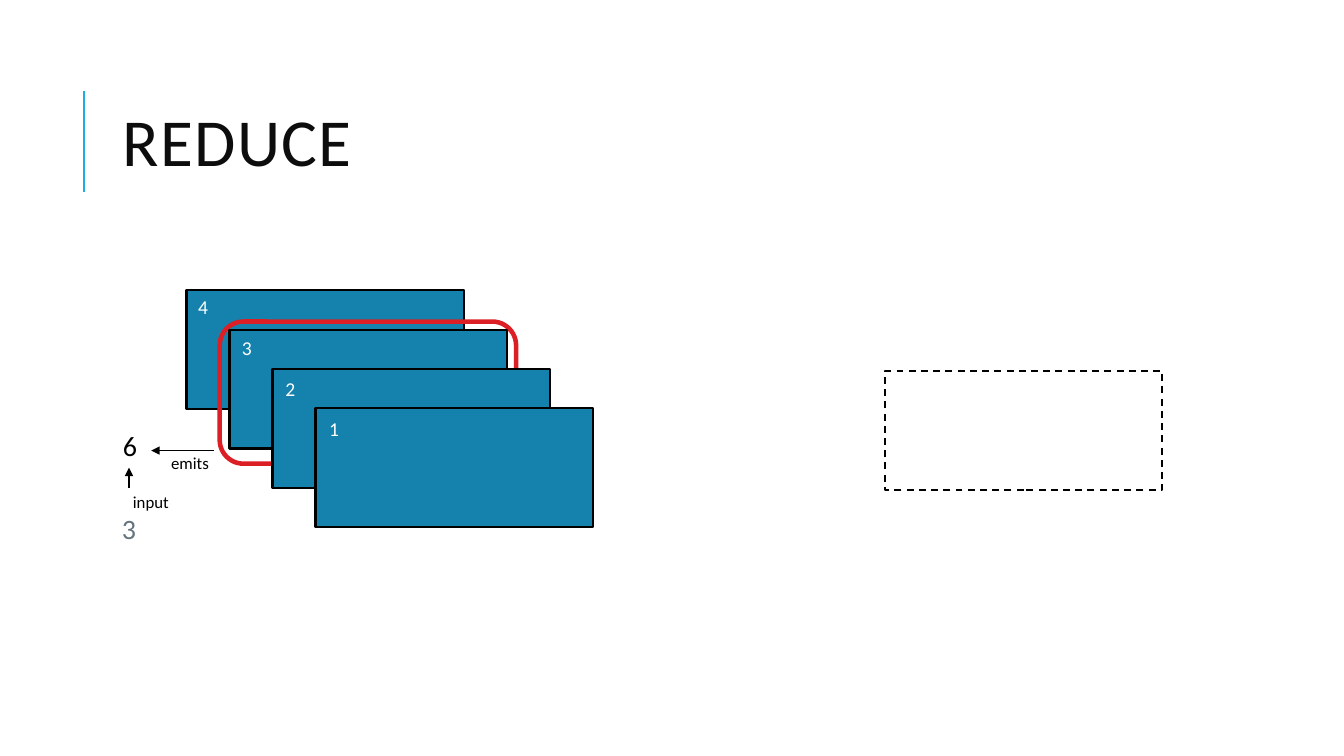
from pptx import Presentation
from pptx.dml.color import RGBColor
from pptx.enum.dml import MSO_LINE
from pptx.enum.shapes import MSO_CONNECTOR, MSO_SHAPE
from pptx.enum.text import MSO_ANCHOR, PP_ALIGN
from pptx.oxml.ns import qn
from pptx.util import Inches, Pt
from lxml.etree import SubElement

theme = {
    "font": "Calibri",
    "ink": "000000", "title": "0D0D0D", "mute": "65757D", "white": "FFFFFF",
    "card": "1482AC", "ring": "DB1F25", "rule": "1CADE4",
    "head": 48, "big": 20, "mid": 14, "small": 12,
}

deck = Presentation()
deck.slide_width, deck.slide_height = Inches(13.33), Inches(7.5)
slide = deck.slides.add_slide(deck.slide_layouts[6])
shapes = slide.shapes

# Grid of 80 columns by 45 rows
col, row = deck.slide_width / 80, deck.slide_height / 45


def box(x, y, wide, high, line, weight, fill=None, kind=MSO_SHAPE.RECTANGLE):
    """Draw an outlined shape at grid units, filled only if a fill is named."""
    item = shapes.add_shape(kind, int(x * col), int(y * row), int(wide * col), int(high * row))
    item.shadow.inherit = False
    item.line.color.rgb = RGBColor.from_string(theme[line])
    item.line.width = Pt(weight)
    if fill:
        item.fill.solid()
        item.fill.fore_color.rgb = RGBColor.from_string(theme[fill])
    else:
        item.fill.background()
    return item


def write(text, x, y, wide, high, size, tint, align=PP_ALIGN.LEFT):
    """Add a one-line text box at grid units and return it with its run."""
    item = shapes.add_textbox(int(x * col), int(y * row), int(wide * col), int(high * row))
    item.text_frame.word_wrap = True
    para = item.text_frame.paragraphs[0]
    para.alignment = align
    run = para.add_run()
    run.text = text
    run.font.name, run.font.size = theme["font"], Pt(theme[size])
    run.font.color.rgb = RGBColor.from_string(theme[tint])
    return item, run


# Title
title, run = write("REDUCE", 6.72, 3.84, 63.78, 9.84, "head", "title")
title.text_frame.vertical_anchor = MSO_ANCHOR.MIDDLE
title.text_frame.paragraphs[0].line_spacing = 0.8
run.font._element.set("spc", "100")

# Stack of cards, back to front, with the ring behind the second
left, top = 11.1, 17.28
wide, high = 16.5, 7.08
for i, name in enumerate("4321"):
    if name == "3":
        box(13.08, 19.14, 17.64, 8.46, "ring", 3.25, kind=MSO_SHAPE.ROUNDED_RECTANGLE)
    box(left + 2.56 * i, top + 2.34 * i, wide, high, "ink", 1.5, "card")
    write(name, left + 2.6 * i, top + 2.42 * i, 1.98, 2.04, "mid", "white", PP_ALIGN.CENTER)

# Empty slot
slot = box(52.68, 22.08, wide, high, "ink", 1.25)
slot.line.dash_style = MSO_LINE.DASH

# Values and their labels
for text, x, y, span, tall, size, tint in (
    ("emits", 9.6, 26.64, 3.96, 1.8, "small", "ink"),
    ("3", 6.66, 30.18, 3.96, 2.64, "big", "mute"),
    ("input", 7.32, 28.98, 5.22, 1.8, "small", "ink"),
    ("6", 6.72, 25.2, 3.96, 2.64, "big", "ink"),
):
    write(text, x, y, span, tall, size, tint)

# Title rule and arrows
for x1, y1, x2, y2, tint, weight, arrow in (
    (4.98, 11.4, 4.98, 5.4, "rule", 1.5, False),
    (12.72, 26.82, 9, 26.82, "ink", 1, True),
    (7.68, 29.04, 7.68, 27.84, "ink", 1, True),
):
    link = shapes.add_connector(MSO_CONNECTOR.STRAIGHT, int(x1 * col), int(y1 * row),
                                int(x2 * col), int(y2 * row))
    link.line.color.rgb = RGBColor.from_string(theme[tint])
    link.line.width = Pt(weight)
    if arrow:
        SubElement(link.line._get_or_add_ln(), qn("a:tailEnd"), type="triangle")
    SubElement(link._element.spPr, qn("a:effectLst"))

deck.save("out.pptx")
